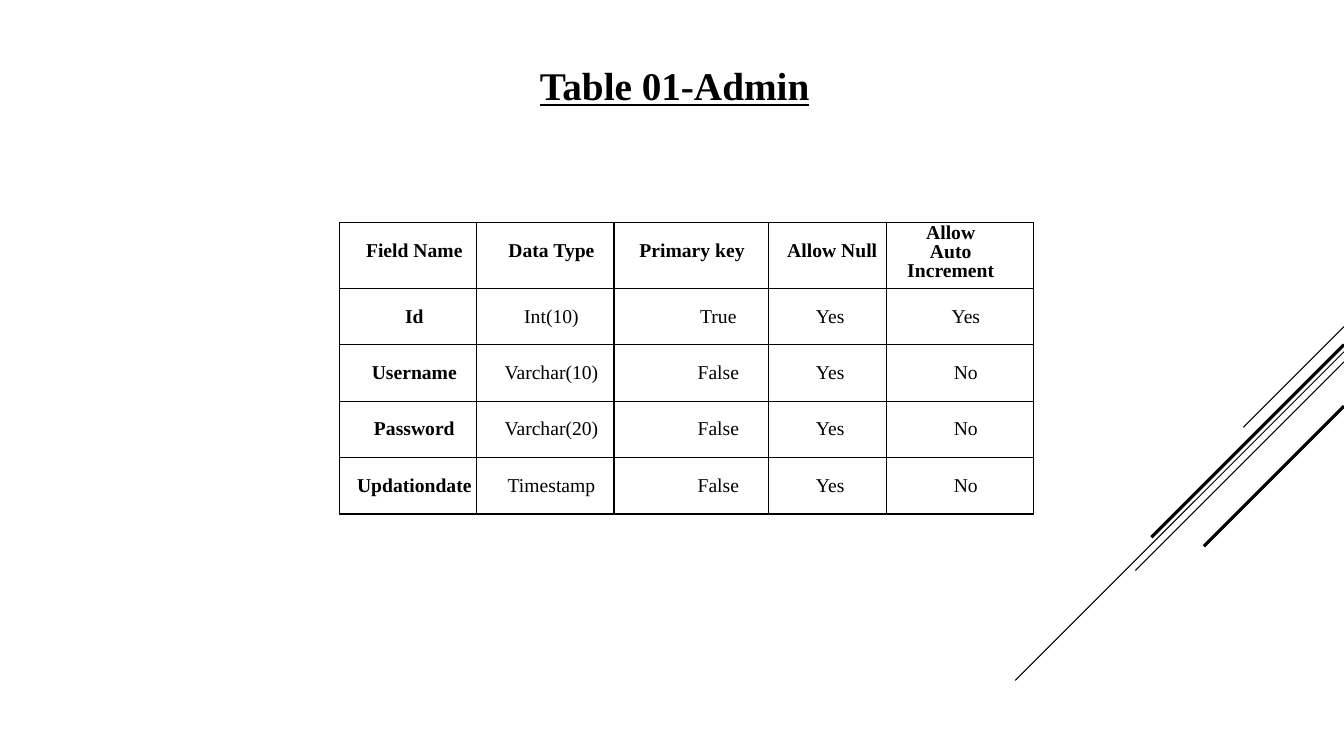
from lxml.etree import SubElement
from pptx import Presentation
from pptx.dml.color import RGBColor
from pptx.enum.shapes import MSO_CONNECTOR
from pptx.enum.text import MSO_ANCHOR, PP_ALIGN
from pptx.oxml.ns import qn
from pptx.util import Inches, Pt

WIDTH, HEIGHT = 13.33, 7.5
COLOURS = {"ink": "000000", "paper": "FFFFFF"}
FONT = "Times New Roman"
COLUMN_WIDTHS = [1.36, 1.36, 1.53, 1.17, 1.46]
HEADER_HEIGHT, ROW_HEIGHT = 0.65, 0.56
HEADER_INDENTS = [0.12, 0.12, 0.02, 0.1, 0.15]
BODY_INDENTS = [0.12, 0.12, 0.54, 0.06, 0.12]
FIELDS = [
    ["Field Name", "Data Type", "Primary key", "Allow Null", "Allow\nAuto Increment"],
    ["Id", "Int(10)", "True", "Yes", "Yes"],
    ["Username", "Varchar(10)", "False", "Yes", "No"],
    ["Password", "Varchar(20)", "False", "Yes", "No"],
    ["Updationdate", "Timestamp", "False", "Yes", "No"],
]
STRIPES = [
    (3.24, 1.0, 0.75),
    (3.49, 3.26, 0.75),
    (3.59, 2.07, 0.75),
    (3.42, 1.91, 2.25),
    (4.03, 1.39, 2.25),
]


def colour(name):
    return RGBColor.from_string(COLOURS[name])


def style_paragraph(paragraph, size, bold):
    paragraph.alignment = PP_ALIGN.CENTER
    paragraph.font.name = FONT
    paragraph.font.size = Pt(size)
    paragraph.font.bold = bold
    paragraph.font.color.rgb = colour("ink")


def add_stripes(page, right):
    for top, reach, weight in STRIPES:
        stripe = page.shapes.add_connector(
            MSO_CONNECTOR.STRAIGHT,
            Inches(right), Inches(top), Inches(right - reach), Inches(top + reach),
        )
        stripe.line.color.rgb = colour("ink")
        stripe.line.width = Pt(weight)
        SubElement(stripe._element.spPr, qn("a:effectLst"))


def add_title(page, left, top, width, height):
    box = page.shapes.add_textbox(Inches(left), Inches(top), Inches(width), Inches(height))
    frame = box.text_frame
    frame.word_wrap = True
    frame.margin_left = Inches(0.49)
    paragraph = frame.paragraphs[0]
    paragraph.text = "Table 01-Admin"
    style_paragraph(paragraph, 28, True)
    paragraph.font.underline = True


def draw_borders(cell):
    properties = cell._tc.get_or_add_tcPr()
    for side in ("lnL", "lnR", "lnT", "lnB"):
        border = SubElement(properties, qn(f"a:{side}"), w=str(Pt(1)))
        fill = SubElement(border, qn("a:solidFill"))
        SubElement(fill, qn("a:srgbClr"), val=COLOURS["ink"])


def fill_cell(cell, text, indent, bold):
    draw_borders(cell)
    cell.fill.background()
    cell.vertical_anchor = MSO_ANCHOR.MIDDLE
    cell.margin_left = Inches(indent)
    cell.margin_right = cell.margin_top = cell.margin_bottom = 0
    cell.text = text
    for paragraph in cell.text_frame.paragraphs:
        style_paragraph(paragraph, 14, bold)


def add_field_table(page, left, top):
    height = HEADER_HEIGHT + ROW_HEIGHT * (len(FIELDS) - 1)
    table = page.shapes.add_table(
        len(FIELDS), len(COLUMN_WIDTHS),
        Inches(left), Inches(top), Inches(sum(COLUMN_WIDTHS)), Inches(height),
    ).table
    table.first_row = table.horz_banding = False
    for column, width in zip(table.columns, COLUMN_WIDTHS):
        column.width = Inches(width)
    for row_index, values in enumerate(FIELDS):
        header = row_index == 0
        table.rows[row_index].height = Inches(HEADER_HEIGHT if header else ROW_HEIGHT)
        indents = HEADER_INDENTS if header else BODY_INDENTS
        for column_index, (text, indent) in enumerate(zip(values, indents)):
            cell = table.cell(row_index, column_index)
            fill_cell(cell, text, indent, header or column_index == 0)
            if header:
                cell.margin_bottom = Inches(0.1)
    increment = table.cell(0, len(COLUMN_WIDTHS) - 1)
    increment.margin_right = Inches(0.33)
    increment.margin_bottom = Inches(0.05)
    for paragraph in increment.text_frame.paragraphs:
        paragraph.line_spacing = Pt(13.7)


def main():
    deck = Presentation()
    deck.slide_width, deck.slide_height = Inches(WIDTH), Inches(HEIGHT)
    page = deck.slides.add_slide(deck.slide_layouts[6])
    page.background.fill.solid()
    page.background.fill.fore_color.rgb = colour("paper")
    add_stripes(page, WIDTH)
    add_field_table(page, 3.37, 2.21)
    add_title(page, 4.74, 0.56, 3.51, 0.57)
    deck.save("out.pptx")


if __name__ == "__main__":
    main()
